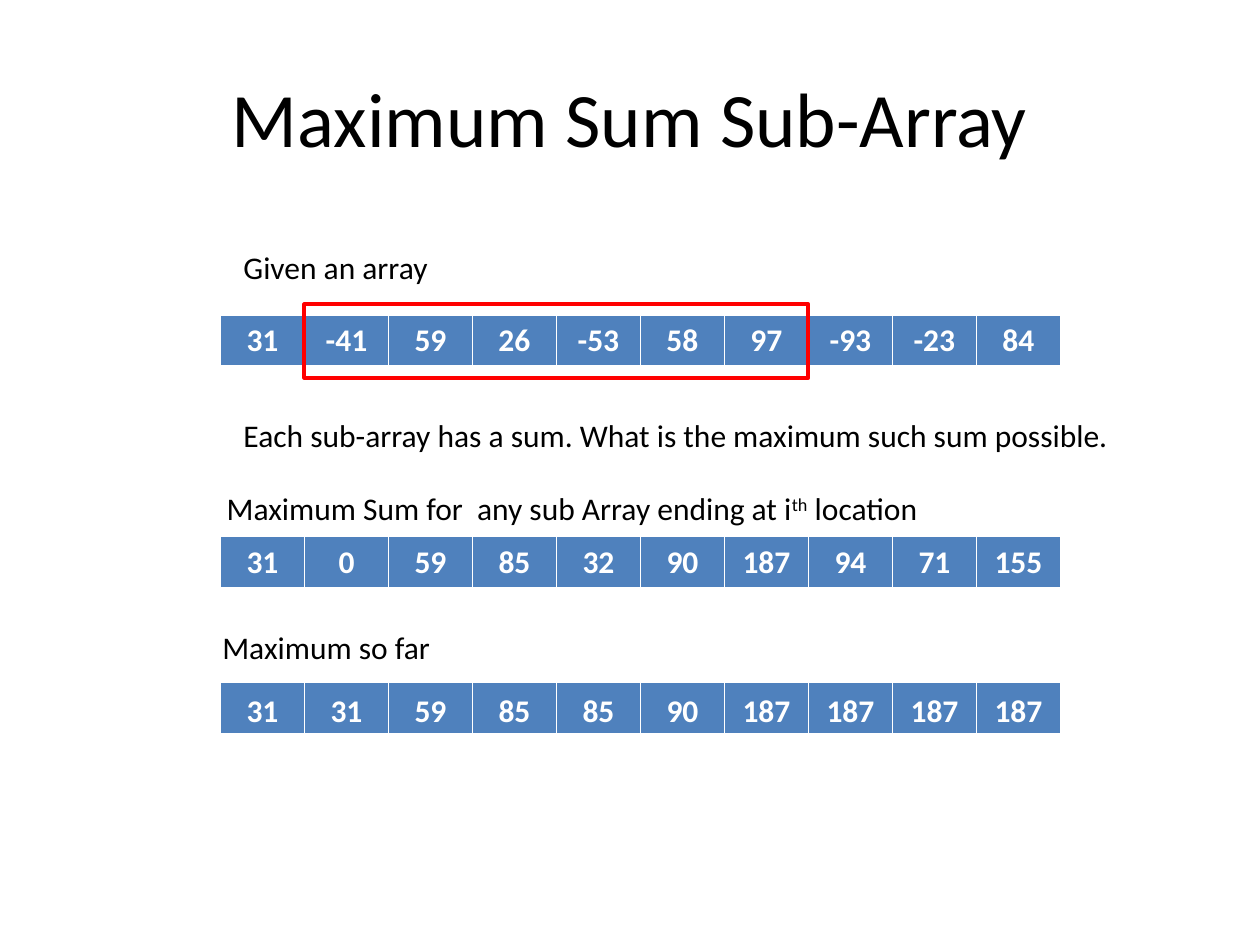
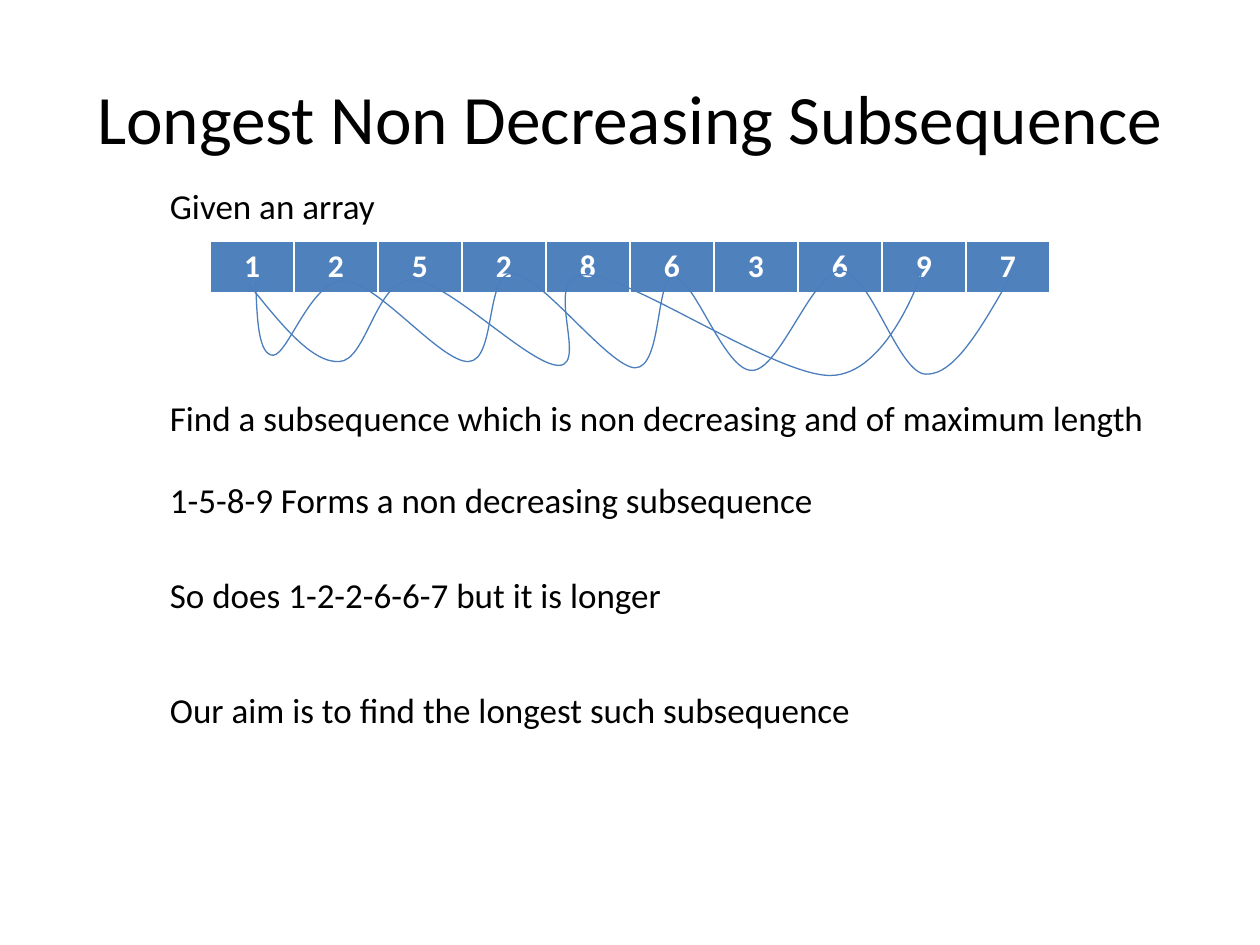
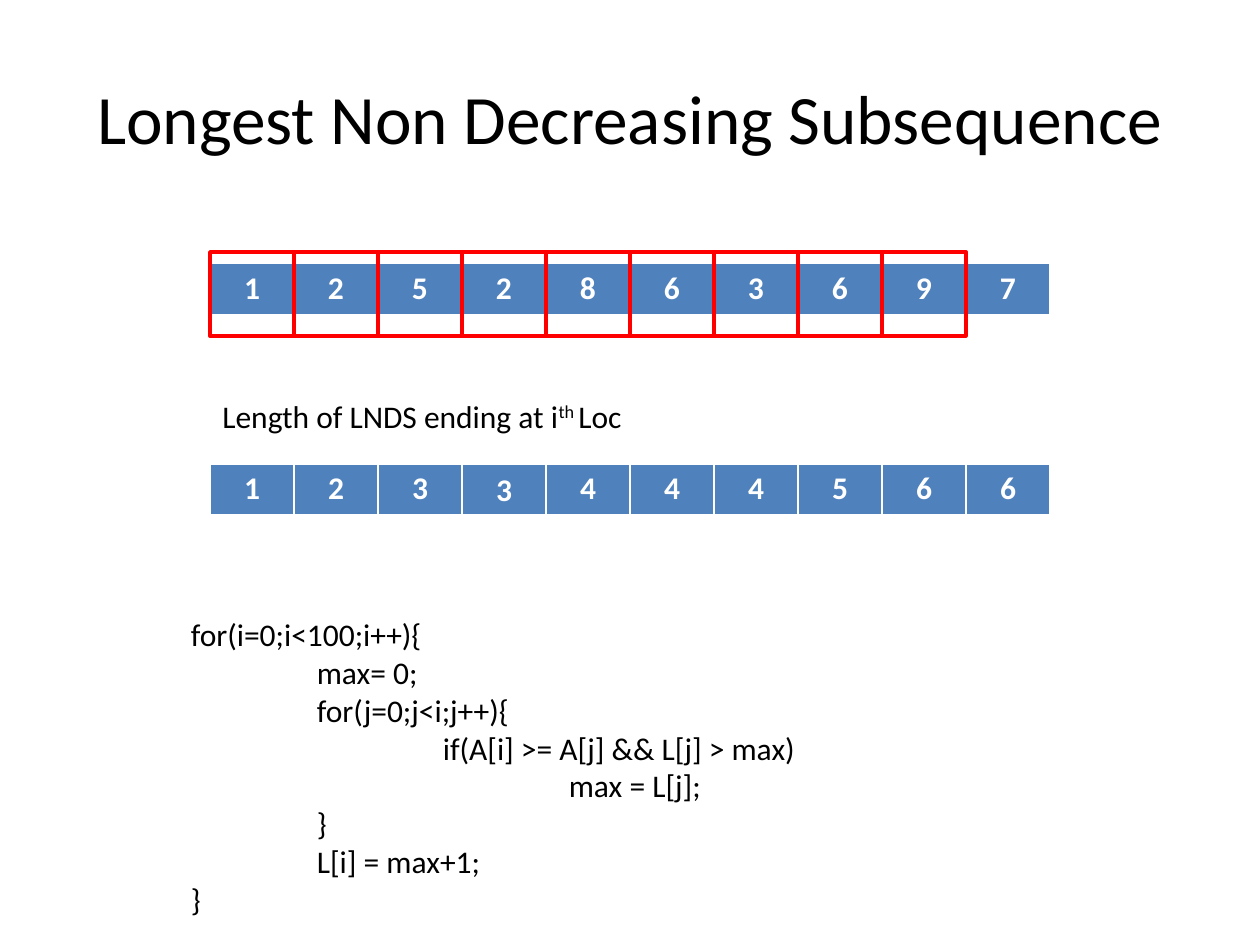
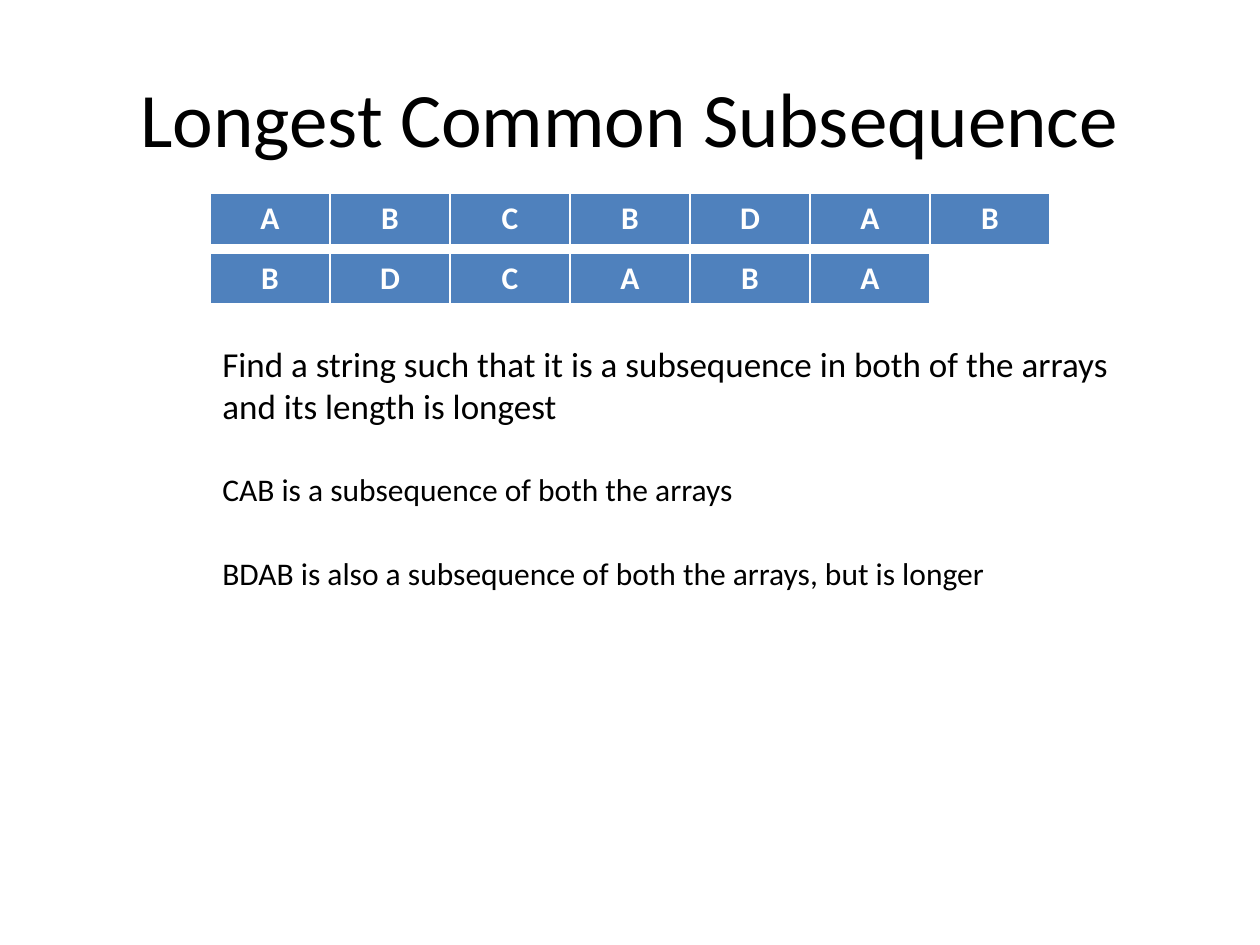
"""Build four slides on classic array and subsequence problems."""
from lxml.etree import SubElement
from pptx import Presentation
from pptx.dml.color import RGBColor
from pptx.enum.shapes import MSO_SHAPE
from pptx.enum.text import MSO_ANCHOR, MSO_AUTO_SIZE, PP_ALIGN
from pptx.oxml.ns import qn
from pptx.util import Inches, Pt

COLORS = {"text": "000000", "cell": "4F81BD", "value": "FFFFFF",
          "highlight": "FF0000", "curve": "4B7EBC"}
FONT = "Calibri"
GRID_COLUMNS = 120
CELL = 8
ROW_HEIGHT = 4.87

deck = Presentation()
deck.slide_width, deck.slide_height = Inches(10), Inches(7.5)
UNIT = deck.slide_width / GRID_COLUMNS


def add_text(slide, column, row, width, lines, size=18, color="text", bold=False,
             align=PP_ALIGN.LEFT, wrap=True):
    """Add a text box at a grid place; parts between carets are raised."""
    height = 1.2 + 0.202 * size * len(lines)
    box = slide.shapes.add_textbox(*(int(n * UNIT) for n in (column, row, width, height)))
    frame = box.text_frame
    frame.word_wrap = wrap
    frame.auto_size = MSO_AUTO_SIZE.SHAPE_TO_FIT_TEXT
    for number, line in enumerate(lines):
        paragraph = frame.add_paragraph() if number else frame.paragraphs[0]
        paragraph.alignment = align
        for position, part in enumerate(line.split("^")):
            run = paragraph.add_run()
            run.text = part
            run.font.name, run.font.size, run.font.bold = FONT, Pt(size), bold
            run.font.color.rgb = RGBColor.from_string(COLORS[color])
            if position % 2:
                run.font._element.set("baseline", "30000")
    return box


def add_array(slide, column, row, values, cell_width=CELL):
    """Add a one-row table of values at a grid place."""
    place = (column, row, cell_width * len(values), ROW_HEIGHT)
    array = slide.shapes.add_table(1, len(values), *(int(n * UNIT) for n in place)).table
    for index, value in enumerate(values):
        array.columns[index].width = int(cell_width * UNIT)
        cell = array.cell(0, index)
        cell.fill.solid()
        cell.fill.fore_color.rgb = RGBColor.from_string(COLORS["cell"])
        cell.text_frame.text = value
        paragraph = cell.text_frame.paragraphs[0]
        paragraph.alignment = PP_ALIGN.CENTER
        for run in paragraph.runs:
            run.font.name, run.font.size, run.font.bold = FONT, Pt(18), True
            run.font.color.rgb = RGBColor.from_string(COLORS["value"])


titles = [("Maximum Sum Sub-Array", 44), ("Longest Non Decreasing Subsequence", 39.6),
          ("Longest Non Decreasing Subsequence", 39.6), ("Longest Common Subsequence", 44)]
slides = []
for heading, size in titles:
    slide = deck.slides.add_slide(deck.slide_layouts[6])
    title = add_text(slide, 6, 3.6, 108, [heading], size, align=PP_ALIGN.CENTER)
    title.text_frame.auto_size = MSO_AUTO_SIZE.NONE
    title.text_frame.vertical_anchor = MSO_ANCHOR.MIDDLE
    title.height = int(15 * UNIT)
    slides.append(slide)
max_sum, subsequence, lnds, common = slides

add_array(max_sum, 21, 30, "31 -41 59 26 -53 58 97 -93 -23 84".split())
for column, row, width, line in [
        (22, 23, 24.1, "Given an array"),
        (22, 39, 93.7, "Each sub-array has a sum. What is the maximum such sum possible."),
        (20.4, 46, 77.6, "Maximum Sum for  any sub Array ending at i^th^ location"),
        (20, 59.2, 31.7, "Maximum so far")]:
    add_text(max_sum, column, row, width, [line])

answers = [
    (max_sum, 21, 51.1, 51, "31 0 59 85 32 90 187 94 71 155"),
    (max_sum, 21, 65, 65.2, "31 31 59 85 85 90 187 187 187 187"),
    (lnds, 20, 44.2, 44, "1 2 3 3 4 4 4 5 6 6"),
]
for slide, column, array_row, value_row, values in answers:
    values = values.split()
    add_array(slide, column, array_row, [""] * len(values))
    for index, value in enumerate(values):
        lowered = 0.2 if slide is lnds and index == 3 else 0
        add_text(slide, column + index * CELL, value_row + lowered, CELL, [value],
                 color="value", bold=True, align=PP_ALIGN.CENTER)

numbers = "1 2 5 2 8 6 3 6 9 7".split()
add_array(subsequence, 20, 23, numbers)
for row, width, wrap, line in [
        (17, 24.1, True, "Given an array"),
        (37.2, 97, True, "Find a subsequence which is non decreasing and of maximum length"),
        (45, 64.2, False, "1-5-8-9 Forms a non decreasing subsequence"),
        (54, 75.1, True, "So does 1-2-2-6-6-7 but it is longer"),
        (65, 67.8, False, "Our aim is to find the longest such subsequence")]:
    add_text(subsequence, 15, row, width, [line], 20, wrap=wrap)

shorter_route = [
    (197, 225), (222, 256), (247, 288), (269, 287), (291, 287), (298, 222), (327, 222),
    (356, 223), (421, 291), (444, 290), (467, 289), (429, 217), (465, 218),
    (501, 219), (615, 298), (659, 298), (704, 298), (731, 218), (731, 218), (727, 217)]
longer_route = [
    (203, 224), (204, 253), (205, 282), (217, 282), (229, 281), (247, 222), (273, 223),
    (299, 223), (350, 288), (372, 287), (394, 286), (385, 216), (407, 217),
    (429, 218), (483, 291), (504, 292), (526, 292), (520, 219), (535, 220),
    (551, 220), (575, 295), (597, 294), (619, 294), (645, 215), (668, 215),
    (691, 216), (713, 297), (735, 297), (758, 298), (780, 258), (803, 218)]
for route in (shorter_route, longer_route):
    builder = subsequence.shapes.build_freeform(*route[0], scale=deck.slide_width / 1000)
    builder.add_line_segments(route[1:], close=False)
    curve = builder.convert_to_shape()
    curve.shadow.inherit = False
    curve.fill.background()
    curve.line.color.rgb = RGBColor.from_string(COLORS["curve"])
    curve.line.width = Pt(0.75)
    outline = curve._element.xpath(".//a:path")[0]
    steps = outline.findall(qn("a:lnTo"))
    for first in range(0, len(steps) - 2, 3):
        bend = SubElement(outline, qn("a:cubicBezTo"))
        steps[first].addprevious(bend)
        for step in steps[first:first + 3]:
            bend.append(step[0])
            outline.remove(step)

add_array(lnds, 20, 25.1, numbers)
add_text(lnds, 20, 37.2, 45, ["Length of LNDS ending at i^th ^Loc"])
code = [(0, "for(i=0;i<100;i++){"), (1, "max= 0;"), (1, "for(j=0;j<i;j++){"),
        (2, "if(A[i] >= A[j] && L[j] > max)"), (3, "max = L[j];"), (1, "}"),
        (1, "L[i] = max+1;"), (0, "}")]
listing = add_text(lnds, 17, 58, 85, [line for depth, line in code])
for (depth, line), paragraph in zip(code, listing.text_frame.paragraphs):
    paragraph._p.get_or_add_pPr().set("marL", str(depth * deck.slide_width // 10))

highlights = [(max_sum, 29, 29, 6 * CELL, 7, 2.25)]
highlights += [(lnds, 20 + index * CELL, 24, CELL, CELL, 2) for index in range(9)]
for slide, column, row, width, height, weight in highlights:
    place = (int(n * UNIT) for n in (column, row, width, height))
    highlight = slide.shapes.add_shape(MSO_SHAPE.RECTANGLE, *place)
    highlight.shadow.inherit = False
    highlight.fill.background()
    highlight.line.color.rgb = RGBColor.from_string(COLORS["highlight"])
    highlight.line.width = Pt(weight)

for row, letters in [(24.1, "BDCABA"), (18.4, "ABCBDAB")]:
    add_array(common, 20, row, list(letters), 10 * CELL / 7)
add_text(common, 20, 32, 88.8,
         ["Find a string such that it is a subsequence in both of the arrays",
          "and its length is longest"], 20)
add_text(common, 20, 44.2, 61, ["CAB is a subsequence of both the arrays"])
add_text(common, 20, 52.2, 92,
         ["BDAB is also a subsequence of both the arrays, but is longer"])

deck.save("out.pptx")
